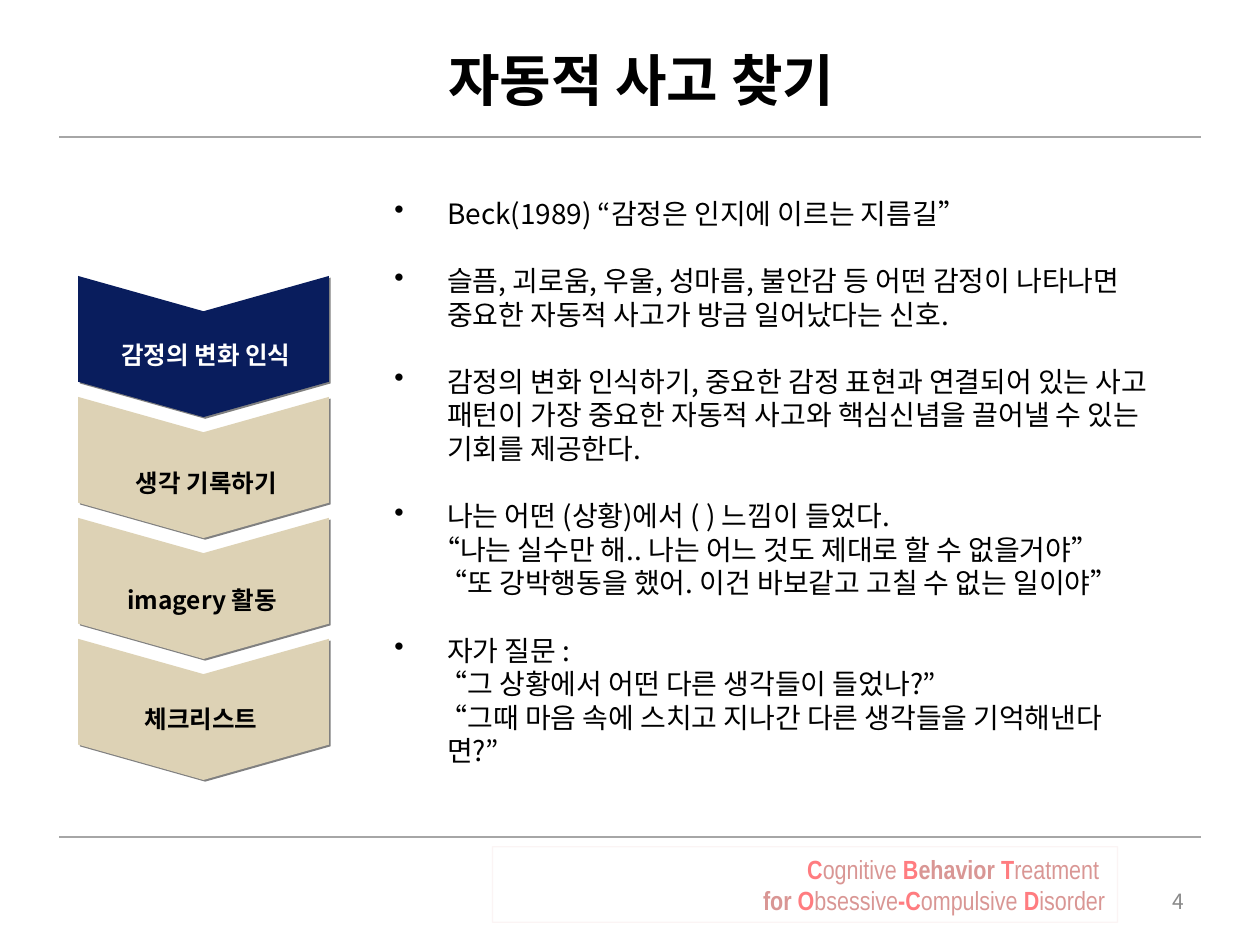
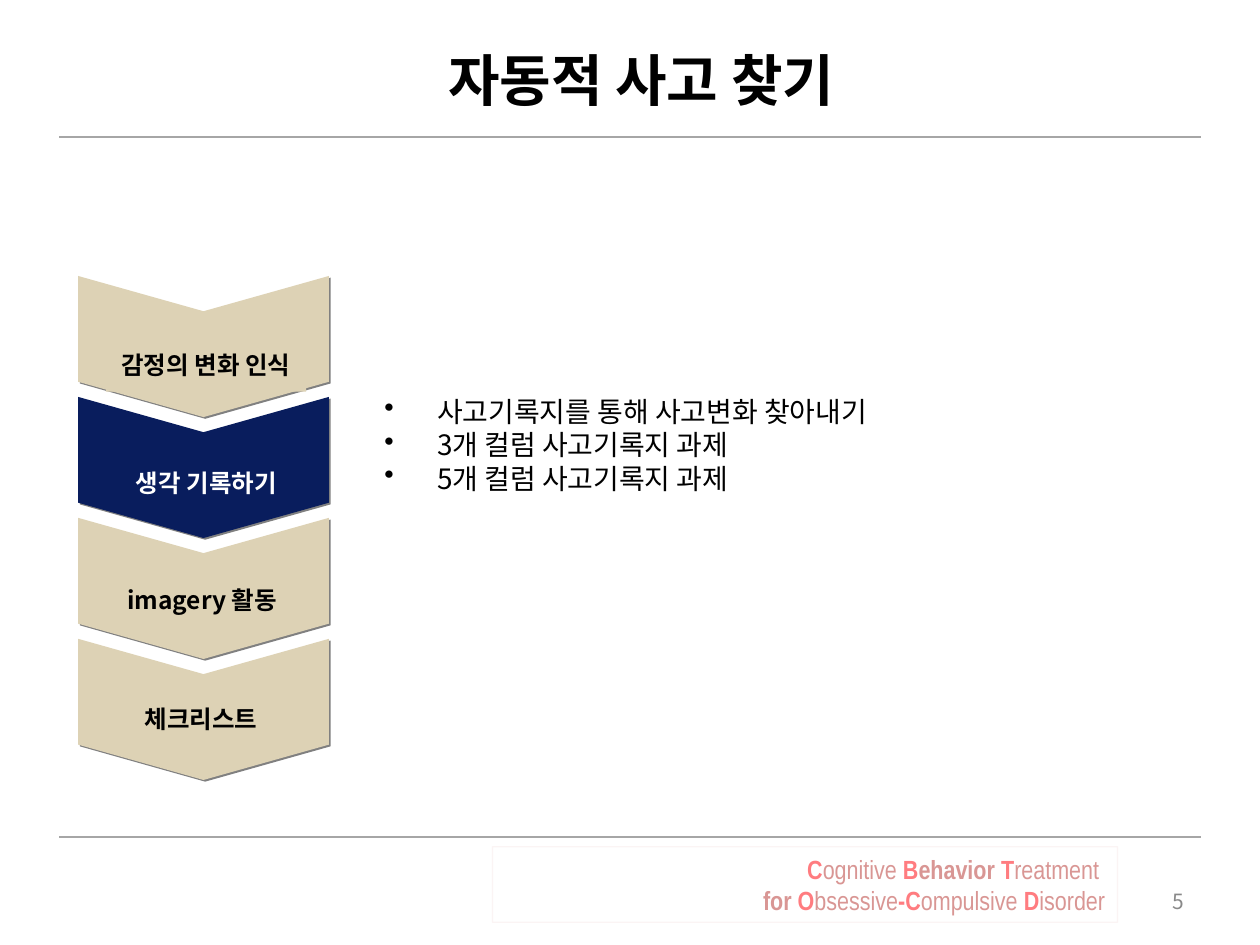
from dataclasses import dataclass

from lxml.etree import SubElement
from pptx import Presentation
from pptx.dml.color import RGBColor
from pptx.enum.shapes import MSO_CONNECTOR, MSO_SHAPE
from pptx.enum.text import MSO_ANCHOR, MSO_AUTO_SIZE, PP_ALIGN
from pptx.oxml.ns import qn
from pptx.util import Inches, Pt

TITLE = "자동적 사고 찾기"

# label, left, top, width, alignment
STEPS = [
    ("감정의 변화 인식", 0.84, 2.65, 1.59, PP_ALIGN.CENTER),
    ("생각 기록하기", 0.98, 3.59, 1.36, PP_ALIGN.LEFT),
    ("imagery 활동", 0.91, 4.52, 1.49, PP_ALIGN.LEFT),
    ("체크리스트", 1.05, 5.46, 1.12, PP_ALIGN.LEFT),
]

# Each group is one bullet followed by (first-line indent, quotation) pairs
SLIDES = [
    dict(number="4", active=0, lift=0.08, body=(3.13, 1.56, 6.02, 4.67), gap=19.2, groups=[
        ("Beck(1989) “감정은 인지에 이르는 지름길”", []),
        ("슬픔, 괴로움, 우울, 성마름, 불안감 등 어떤 감정이 나타나면 "
         "중요한 자동적 사고가 방금 일어났다는 신호.", []),
        ("감정의 변화 인식하기, 중요한 감정 표현과 연결되어 있는 사고 패턴이 가장 "
         "중요한 자동적 사고와 핵심신념을 끌어낼 수 있는 기회를 제공한다.", []),
        ("나는 어떤 (상황)에서 ( ) 느낌이 들었다.", [
            (-0.12, "“나는 실수만 해.. 나는 어느 것도 제대로 할 수 없을거야”"),
            (-0.06, "“또 강박행동을 했어. 이건 바보같고 고칠 수 없는 일이야”")]),
        ("자가 질문 :", [
            (-0.06, "“그 상황에서 어떤 다른 생각들이 들었나?”"),
            (-0.06, "“그때 마음 속에 스치고 지나간 다른 생각들을 기억해낸다면?”")]),
    ]),
    dict(number="5", active=1, lift=0, body=(3.05, 3.13, 6.02, 0.8), gap=0, groups=[
        ("사고기록지를 통해 사고변화 찾아내기", []),
        ("3개 컬럼 사고기록지 과제", []),
        ("5개 컬럼 사고기록지 과제", []),
    ]),
]

FOOTER = [
    [("C", "initial"), ("ognitive", "plain"), (" B", "initial"), ("ehavior", "strong"),
     (" T", "initial"), ("reatment ", "plain")],
    [("for", "strong"), (" O", "initial"), ("bsessive", "plain"), ("-C", "initial"),
     ("ompulsive", "plain"), (" D", "initial"), ("isorder", "plain")],
]


@dataclass(frozen=True)
class Theme:
    font: str = "Noto Sans CJK KR"
    footer_font: str = "Arial Narrow"
    black: str = "000000"
    white: str = "FFFFFF"
    navy: str = "091D5D"
    sand: str = "DDD2B5"
    shadow: str = "808080"
    rule: str = "A6A6A6"
    number: str = "898989"
    initial: str = "FF7C80"
    rose: str = "D99694"
    title_size: float = 32
    body_size: float = 16
    step_size: float = 14
    footer_size: float = 15
    number_size: float = 12


T = Theme()
FOOTER_STYLES = {
    "initial": dict(color=T.initial, bold=True),
    "strong": dict(color=T.rose, bold=True),
    "plain": dict(color=T.rose),
}
RULE_LEFT, RULE_RIGHT, RULE_TOPS = 0.47, 9.53, (1.09, 6.64)
CHEVRON_LEFT, CHEVRON_TOP, CHEVRON_WIDTH = 0.62, 2.19, 1.99
CHEVRON_SIDE, CHEVRON_POINT, CHEVRON_PITCH = 0.84, 0.28, 0.96
HANG = 0.42


def rgb(value):
    return RGBColor.from_string(value)


def fmt(obj, **values):
    for name, value in values.items():
        setattr(obj, name, value)


def frame(shape, margins, **values):
    tf = shape.text_frame
    x, y = (Inches(m) for m in margins)
    fmt(tf, **{"word_wrap": True, "margin_left": x, "margin_right": x,
               "margin_top": y, "margin_bottom": y, **values})
    return tf


def add_run(p, text, size, color, bold=False, font=T.font):
    r = p.add_run()
    r.text = text
    fmt(r.font, size=Pt(size), bold=bold, name=font)
    r.font.color.rgb = rgb(color)
    SubElement(r._r.get_or_add_rPr(), qn("a:ea")).set("typeface", font)


def add_box(s, box, fill=None):
    sp = s.shapes.add_shape(MSO_SHAPE.RECTANGLE, *map(Inches, box))
    sp.shadow.inherit = False
    sp.line.fill.background()
    if fill:
        sp.fill.solid()
        sp.fill.fore_color.rgb = rgb(fill)
    else:
        sp.fill.background()
    return sp


def add_line_text(s, box, text, align, **style):
    tf = frame(s.shapes.add_textbox(*map(Inches, box)), (0.1, 0.05),
               vertical_anchor=MSO_ANCHOR.MIDDLE)
    p = tf.paragraphs[0]
    p.alignment = align
    add_run(p, text, **style)


def set_indent(p, first, bullet=False):
    pPr = p._p.get_or_add_pPr()
    pPr.set("marL", str(Inches(HANG)))
    pPr.set("indent", str(Inches(first)))
    if bullet:
        color = SubElement(pPr, qn("a:buClr"))
        SubElement(color, qn("a:srgbClr")).set("val", T.black)
        SubElement(pPr, qn("a:buChar")).set("char", "•")
    else:
        SubElement(pPr, qn("a:buNone"))


def add_body(s, box, groups, gap):
    tf = frame(s.shapes.add_textbox(*map(Inches, box)), (0, 0),
               auto_size=MSO_AUTO_SIZE.SHAPE_TO_FIT_TEXT)
    for i, (bullet, quotes) in enumerate(groups):
        for j, (first, text) in enumerate([(-HANG, bullet), *quotes]):
            p = tf.add_paragraph() if i or j else tf.paragraphs[0]
            set_indent(p, first, bullet=j == 0)
            if i and j == 0 and gap:
                p.space_before = Pt(gap)
            add_run(p, text, T.body_size, T.black)


def add_chevron(s, top, fill):
    left, right = CHEVRON_LEFT, CHEVRON_LEFT + CHEVRON_WIDTH
    middle, bottom = (left + right) / 2, top + CHEVRON_SIDE
    start, *rest = [(Inches(x), Inches(y)) for x, y in [
        (right, top), (right, bottom), (middle, bottom + CHEVRON_POINT),
        (left, bottom), (left, top), (middle, top + CHEVRON_POINT)]]
    builder = s.shapes.build_freeform(*start)
    builder.add_line_segments(rest, close=True)
    sp = builder.convert_to_shape()
    sp.fill.solid()
    sp.fill.fore_color.rgb = rgb(fill)
    sp.line.fill.background()
    effects = SubElement(sp._element.spPr, qn("a:effectLst"))
    shadow = SubElement(effects, qn("a:outerShdw"), blurRad="0", dist=str(Pt(1.4)),
                        dir="2700000", algn="ctr", rotWithShape="0")
    SubElement(shadow, qn("a:srgbClr")).set("val", T.shadow)


def add_steps(s, active, lift):
    """Draw the chevrons and their labels; lift raises the first label."""
    fills = [T.navy if i == active else T.sand for i in range(len(STEPS))]
    for i, fill in enumerate(fills):
        add_chevron(s, CHEVRON_TOP + i * CHEVRON_PITCH, fill)
    for i, (label, left, top, width, align) in enumerate(STEPS):
        top -= lift if i == 0 else 0
        sp = add_box(s, (left, top, width, 0.46), fills[i])
        tf = frame(sp, (0.1, 0.1), word_wrap=False, vertical_anchor=MSO_ANCHOR.MIDDLE,
                   auto_size=MSO_AUTO_SIZE.SHAPE_TO_FIT_TEXT)
        p = tf.paragraphs[0]
        fmt(p, alignment=align, line_spacing=1.1)
        add_run(p, label, T.step_size, T.white if i == active else T.black, bold=True)


def add_rules(s):
    for y in RULE_TOPS:
        line = s.shapes.add_connector(MSO_CONNECTOR.STRAIGHT, Inches(RULE_LEFT), Inches(y),
                                      Inches(RULE_RIGHT), Inches(y))
        line.line.color.rgb = rgb(T.rule)
        line.line.width = Pt(1.25)
        SubElement(line._element.spPr, qn("a:effectLst"))


def add_footer(s):
    sp = add_box(s, (3.91, 6.72, 4.96, 0.6))
    sp.line.color.rgb = rgb(T.rose)
    sp.line.width = Pt(0.75)
    color = sp.line._ln.find(".//" + qn("a:srgbClr"))
    SubElement(color, qn("a:alpha")).set("val", "10000")
    tf = frame(sp, (0.1, 0.05), vertical_anchor=MSO_ANCHOR.TOP,
               auto_size=MSO_AUTO_SIZE.SHAPE_TO_FIT_TEXT)
    for i, runs in enumerate(FOOTER):
        p = tf.add_paragraph() if i else tf.paragraphs[0]
        p.alignment = PP_ALIGN.RIGHT
        for text, style in runs:
            add_run(p, text, T.footer_size, font=T.footer_font, **FOOTER_STYLES[style])


def add_slide(prs, number, active, lift, body, gap, groups):
    s = prs.slides.add_slide(prs.slide_layouts[6])
    add_line_text(s, (7.17, 6.95, 2.33, 0.4), number, PP_ALIGN.RIGHT,
                  size=T.number_size, color=T.number)
    add_body(s, body, groups, gap)
    add_steps(s, active, lift)
    add_rules(s)
    add_footer(s)
    add_line_text(s, (1.09, 0.16, 8, 0.94), TITLE, PP_ALIGN.CENTER,
                  size=T.title_size, color=T.black, bold=True)


def main():
    prs = Presentation()
    fmt(prs, slide_width=Inches(10), slide_height=Inches(7.5))
    for content in SLIDES:
        add_slide(prs, **content)
    prs.save("out.pptx")


if __name__ == "__main__":
    main()
